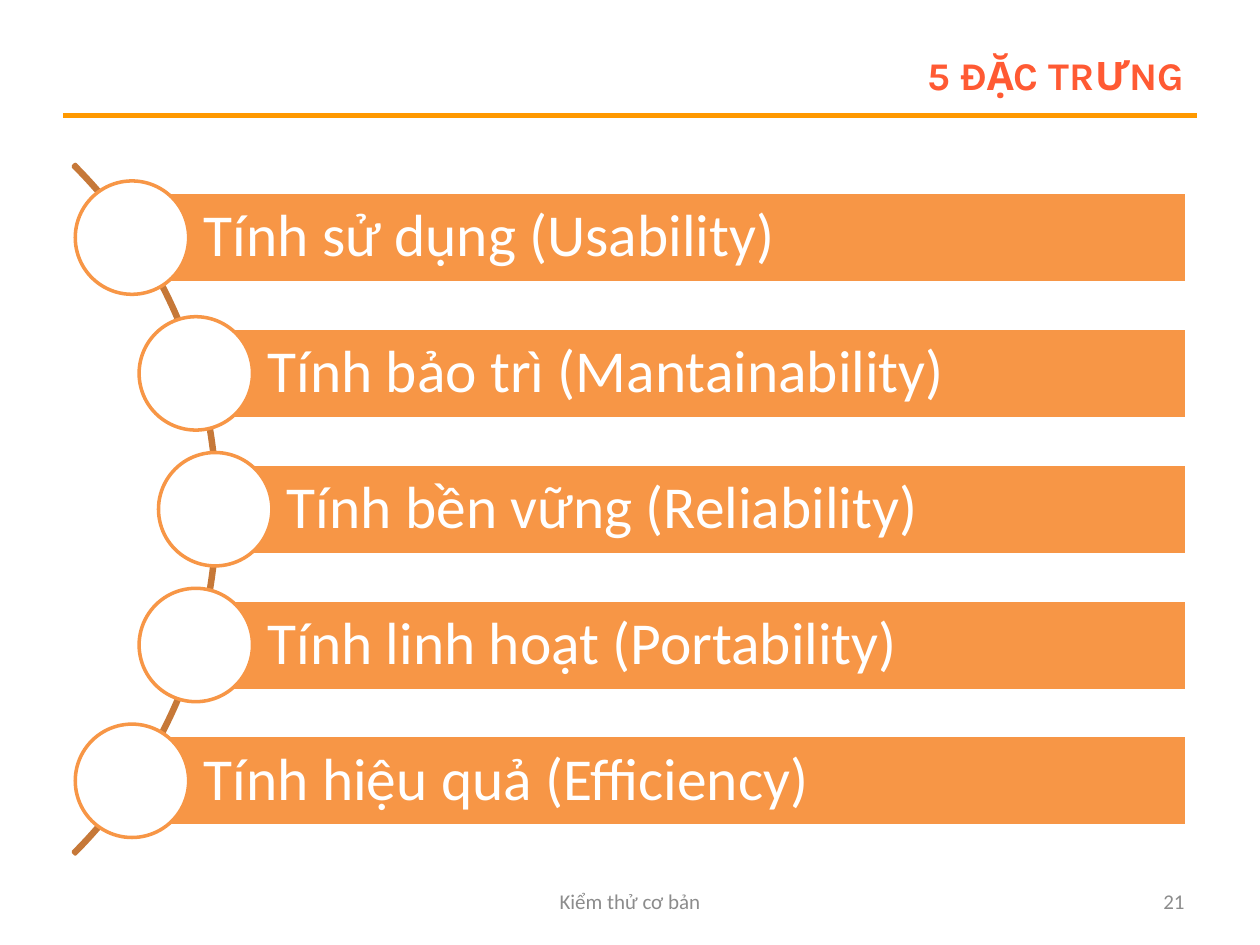
from collections import namedtuple
from math import sqrt

from lxml import etree
from pptx import Presentation
from pptx.dml.color import RGBColor
from pptx.enum.shapes import MSO_CONNECTOR, MSO_SHAPE
from pptx.enum.text import MSO_ANCHOR, MSO_AUTO_SIZE, PP_ALIGN
from pptx.oxml.ns import qn
from pptx.util import Pt

Box = namedtuple("Box", "left top width height")

LEFT, CENTER, RIGHT = PP_ALIGN.LEFT, PP_ALIGN.CENTER, PP_ALIGN.RIGHT
MIDDLE = MSO_ANCHOR.MIDDLE
NO_AUTOFIT = MSO_AUTO_SIZE.NONE
STRAIGHT = MSO_CONNECTOR.STRAIGHT
RECTANGLE, OVAL, BLOCK_ARC = MSO_SHAPE.RECTANGLE, MSO_SHAPE.OVAL, MSO_SHAPE.BLOCK_ARC

WHITE = RGBColor(0xFF, 0xFF, 0xFF)
ORANGE = RGBColor(0xF7, 0x96, 0x46)
BROWN = RGBColor(0xC6, 0x78, 0x38)
AMBER = RGBColor(0xFF, 0x99, 0x00)
CORAL = RGBColor(0xFF, 0x5A, 0x33)
GRAY = RGBColor(0x8C, 0x8C, 0x8C)

TRAITS = [
    "Tính sử dụng (Usability)",
    "Tính bảo trì (Mantainability)",
    "Tính bền vững (Reliability)",
    "Tính linh hoạt (Portability)",
    "Tính hiệu quả (Efficiency)",
]


def in_points(box):
    return [Pt(length) for length in box]


def write(shape, text, size, color, font="Calibri", align=LEFT, bold=False,
          small_caps=False, line_spacing=1.0, left_inset=7.2):
    frame = shape.text_frame
    frame.word_wrap = True
    frame.auto_size = NO_AUTOFIT
    frame.vertical_anchor = MIDDLE
    frame.margin_left = Pt(left_inset)
    para = frame.paragraphs[0]
    para.alignment = align
    para.line_spacing = line_spacing
    span = para.add_run()
    span.text = text
    span.font.name = font
    span.font.size = Pt(size)
    span.font.bold = bold
    span.font.color.rgb = color
    if small_caps:
        span._r.get_or_add_rPr().set("cap", "small")


def add_outlined(page, kind, box, fill, line):
    shape = page.shapes.add_shape(kind, *in_points(box))
    shape.shadow.inherit = False
    shape.fill.solid()
    shape.fill.fore_color.rgb = fill
    shape.line.color.rgb = line
    shape.line.width = Pt(2)
    return shape


def add_header(page, box):
    bottom = box.top + box.height
    rule = page.shapes.add_connector(
        STRAIGHT, Pt(box.left), Pt(bottom), Pt(box.left + box.width), Pt(bottom))
    rule.line.color.rgb = AMBER
    rule.line.width = Pt(3)
    etree.SubElement(rule._element.spPr, qn("a:effectLst"))

    title = page.shapes.title
    indent = 126
    title.left, title.top, title.width, title.height = in_points(
        Box(box.left + indent, box.top, box.width - indent, box.height - 6.5))
    write(title, "5 đặc trưng", 28, CORAL, font="Karla", align=RIGHT,
          bold=True, small_caps=True)


def add_curved_list(page, box, items):
    center_x = box.left - 190
    center_y = box.top + box.height / 2
    right = box.left + box.width - 6
    arc_radius, path_radius = 278.6, 277
    pitch, bar_height, circle_size = 77.6, 51.8, 64.8

    arc = add_outlined(page, BLOCK_ARC, Box(
        center_x - arc_radius, center_y - arc_radius,
        2 * arc_radius, 2 * arc_radius), BROWN, BROWN)
    arc.fill.background()
    for index, value in enumerate((189, 27, 0.003)):
        arc.adjustments[index] = value

    for index, item in enumerate(items):
        offset = (index - (len(items) - 1) / 2) * pitch
        x = center_x + sqrt(path_radius ** 2 - offset ** 2)
        y = center_y + offset
        bar = add_outlined(page, RECTANGLE, Box(
            x, y - bar_height / 2, right - x, bar_height), ORANGE, WHITE)
        write(bar, item, 34, WHITE, line_spacing=0.9, left_inset=41)
        add_outlined(page, OVAL, Box(
            x - circle_size / 2, y - circle_size / 2,
            circle_size, circle_size), WHITE, ORANGE)


def add_footer(page, box):
    center_width, number_width = 228, 168
    center_left = box.left + (box.width - center_width) / 2
    number_left = box.left + box.width - number_width
    for text, left, width, align in (
            ("Kiểm thử cơ bản", center_left, center_width, CENTER),
            ("21", number_left, number_width, RIGHT)):
        label = page.shapes.add_textbox(
            *in_points(Box(left, box.top, width, box.height)))
        write(label, text, 12, GRAY, align=align)


def main():
    deck = Presentation()
    deck.slide_width, deck.slide_height = Pt(720), Pt(540)
    page = deck.slides.add_slide(deck.slide_layouts[5])
    add_header(page, Box(36, 21.5, 648, 44.5))
    add_curved_list(page, Box(36, 90, 648, 402), TRAITS)
    add_footer(page, Box(36, 500.5, 648, 28.75))
    deck.save("out.pptx")


if __name__ == "__main__":
    main()
